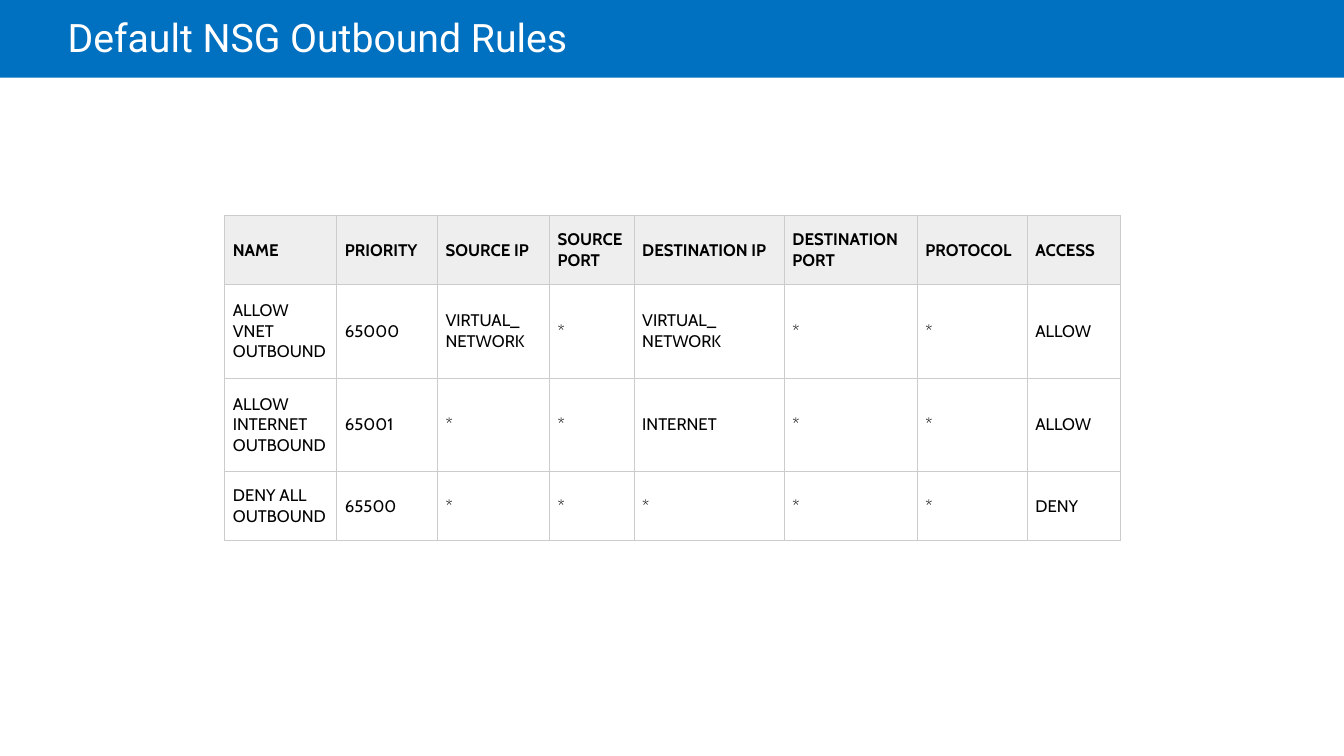
"""Build the slide that lists the default outbound rules of a network security group."""
from copy import deepcopy
from dataclasses import dataclass

from lxml.etree import SubElement
from pptx import Presentation
from pptx.dml.color import RGBColor
from pptx.enum.shapes import MSO_SHAPE as Shape
from pptx.enum.text import MSO_ANCHOR as Anchor
from pptx.oxml.ns import qn
from pptx.util import Inches, Pt

WIDTH, HEIGHT = Inches(13.33), Inches(7.5)


@dataclass(frozen=True)
class Theme:
    """Colours, fonts and sizes of the slide."""
    bar: str = "0070C0"
    title_text: str = "FFFFFF"
    table_text: str = "000000"
    header_fill: str = "EEEEEE"
    border: str = "CCCCCC"
    title_font: str = "Roboto"
    table_font: str = "Cabin"
    title_size: float = 28
    table_size: float = 12
    border_width: float = 0.6


THEME = Theme()
COLUMN_PERCENTS = (8.33, 7.5, 8.33, 6.3, 11.18, 9.9, 8.18, 6.9)
ROW_PERCENTS = (9.07, 12.4, 12.4, 9.07)
RULES = (
    ("NAME", "PRIORITY", "SOURCE IP", "SOURCE PORT", "DESTINATION IP",
     "DESTINATION PORT", "PROTOCOL", "ACCESS"),
    ("ALLOW VNET OUTBOUND", "65000", "VIRTUAL_\nNETWORK", "*", "VIRTUAL_\nNETWORK",
     "*", "*", "ALLOW"),
    ("ALLOW INTERNET OUTBOUND", "65001", "*", "*", "INTERNET", "*", "*", "ALLOW"),
    ("DENY ALL OUTBOUND", "65500", "*", "*", "*", "*", "*", "DENY"),
)


def across(percent):
    """Return a percentage of the slide's width."""
    return round(WIDTH * percent / 100)


def down(percent):
    """Return a percentage of the slide's height."""
    return round(HEIGHT * percent / 100)


def write_text(frame, text, *, font, size, color, bold=False, line_spacing=None):
    """Write one formatted paragraph into a text frame."""
    frame.word_wrap = True
    paragraph = frame.paragraphs[0]
    paragraph.text = text
    paragraph.line_spacing = line_spacing
    for run in paragraph.runs:
        run.font.name = font
        run.font.size = Pt(size)
        run.font.bold = bold
        run.font.color.rgb = RGBColor.from_string(color)
    for line_break in paragraph._p.findall(qn("a:br")):
        line_break.append(deepcopy(paragraph.runs[0]._r.rPr))


def set_insets(holder, left, top, right, bottom):
    """Set the inner margins of a cell or text frame in inches."""
    holder.margin_left, holder.margin_top = Inches(left), Inches(top)
    holder.margin_right, holder.margin_bottom = Inches(right), Inches(bottom)


def add_title_bar(slide, text):
    """Add the coloured band and the title on it."""
    bar = slide.shapes.add_shape(Shape.RECTANGLE, 0, 0, WIDTH, down(10.27))
    bar.shadow.inherit = False
    bar.fill.solid()
    bar.fill.fore_color.rgb = RGBColor.from_string(THEME.bar)
    bar.line.fill.background()
    title = slide.shapes.add_textbox(across(5.03), 0, across(85.07), down(10.8))
    frame = title.text_frame
    frame.vertical_anchor = Anchor.MIDDLE
    set_insets(frame, 0, 0.05, 0.1, 0.05)
    write_text(frame, text, font=THEME.title_font, size=THEME.title_size,
               color=THEME.title_text, line_spacing=0.85)


def add_borders(cell):
    """Draw a thin line on all four sides of a cell."""
    properties = cell._tc.get_or_add_tcPr()
    for index, side in enumerate(("a:lnL", "a:lnR", "a:lnT", "a:lnB")):
        line = SubElement(properties, qn(side), w=str(Pt(THEME.border_width)))
        properties.insert(index, line)
        fill = SubElement(line, qn("a:solidFill"))
        SubElement(fill, qn("a:srgbClr"), val=THEME.border)


def format_cell(cell, text, is_header):
    """Fill a table cell with its text, background and borders."""
    cell.vertical_anchor = Anchor.MIDDLE
    set_insets(cell, 0.08, 0.08, 0.08, 0.08)
    write_text(cell.text_frame, text, font=THEME.table_font, size=THEME.table_size,
               color=THEME.table_text, bold=is_header)
    if is_header:
        cell.fill.solid()
        cell.fill.fore_color.rgb = RGBColor.from_string(THEME.header_fill)
    else:
        cell.fill.background()
    add_borders(cell)


def add_rules_table(slide, rules):
    """Add the table of rules below a shaded header row."""
    table = slide.shapes.add_table(
        len(rules), len(rules[0]), across(16.73), down(28.53),
        across(sum(COLUMN_PERCENTS)), down(sum(ROW_PERCENTS))).table
    table.horz_banding = False
    for column, percent in zip(table.columns, COLUMN_PERCENTS):
        column.width = across(percent)
    for row, percent in zip(table.rows, ROW_PERCENTS):
        row.height = down(percent)
    for row_index, rule in enumerate(rules):
        for column_index, text in enumerate(rule):
            format_cell(table.cell(row_index, column_index), text, row_index == 0)


def main():
    """Build and save the presentation."""
    presentation = Presentation()
    presentation.slide_width, presentation.slide_height = WIDTH, HEIGHT
    slide = presentation.slides.add_slide(presentation.slide_layouts[6])
    add_title_bar(slide, "Default NSG Outbound Rules")
    add_rules_table(slide, RULES)
    presentation.save("out.pptx")


if __name__ == "__main__":
    main()
